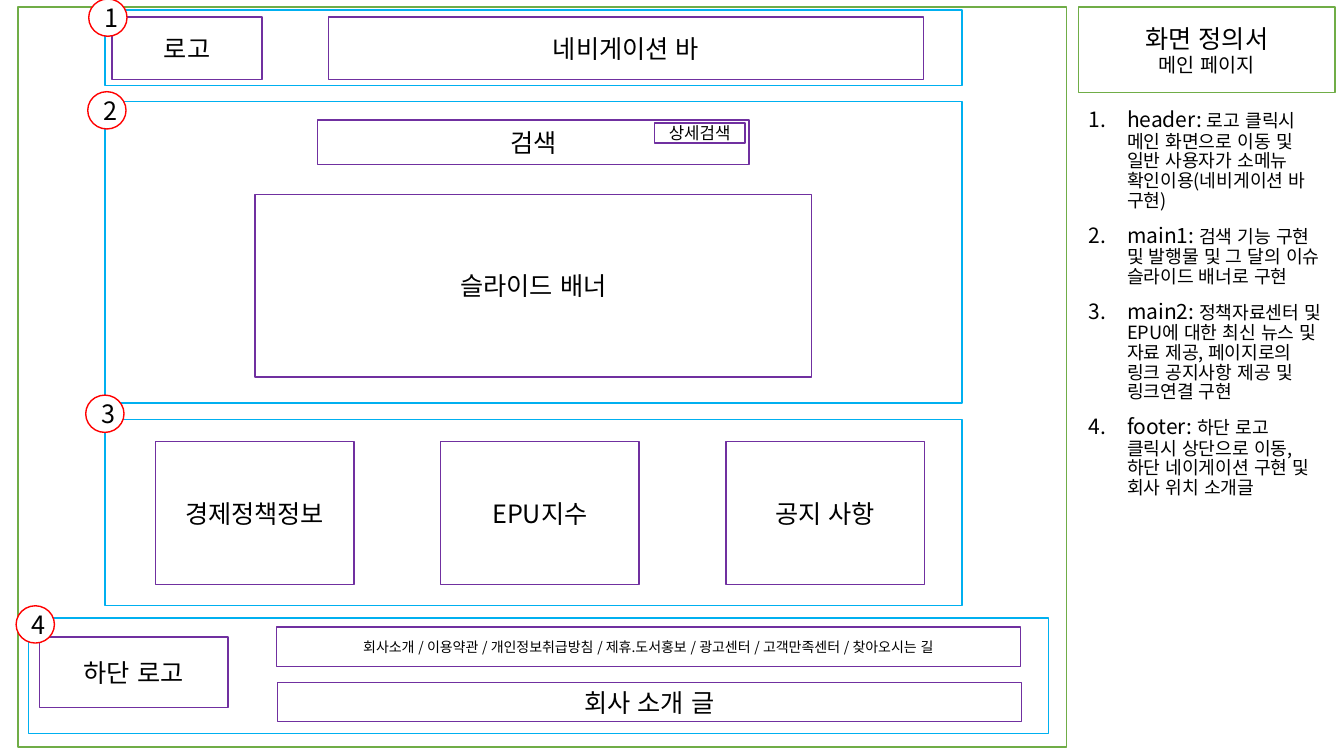
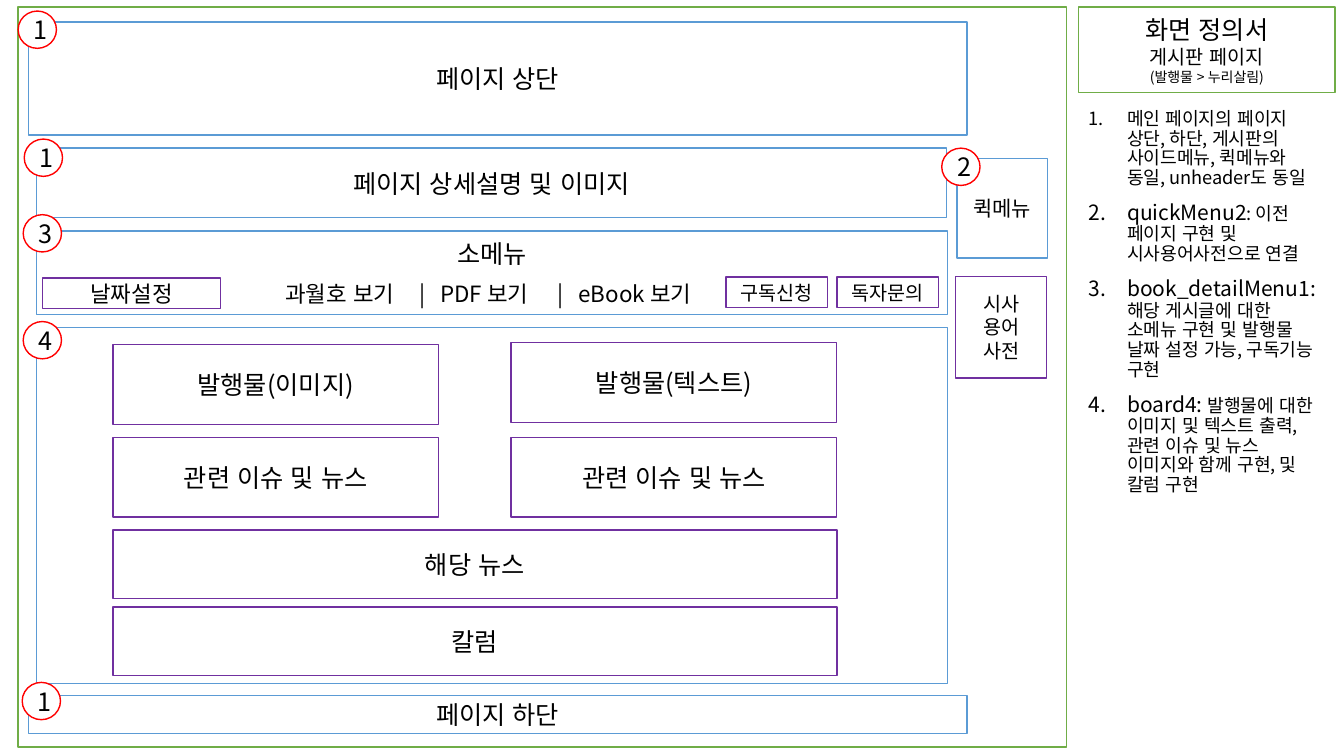
from lxml.etree import SubElement
from pptx import Presentation
from pptx.dml.color import RGBColor
from pptx.enum.lang import MSO_LANGUAGE_ID
from pptx.enum.shapes import MSO_SHAPE
from pptx.enum.text import MSO_ANCHOR, PP_ALIGN
from pptx.oxml.ns import qn
from pptx.util import Pt

PX = 9144
COLORS = {
    "paper": "FFFFFF",
    "ink": "000000",
    "frame": "70AD47",
    "header": "00B0F0",
    "board": "5B9BD5",
    "box": "7030A0",
    "badge": "FF0000",
}
FONT = {
    "name": "Noto Sans CJK KR",
    "language_id": MSO_LANGUAGE_ID.KOREAN,
}
CENTERED = {"alignment": PP_ALIGN.CENTER}
NOTE = {"line_spacing": 0.9, "space_before": Pt(10)}


def rgb(key):
    return RGBColor.from_string(COLORS[key])


def apply(target, values):
    for name, value in values.items():
        setattr(target, name, value)


class Wireframe:
    def __init__(self):
        self.prs = Presentation()
        self.prs.slide_width = 1333 * PX
        self.prs.slide_height = 750 * PX
        self.s = None

    def page(self, titles, notes):
        self.s = self.prs.slides.add_slide(self.prs.slide_layouts[6])
        self.box(18, 7, 1040, 734, color="frame")
        title = self.box(1070, 7, 254, 85, color="frame")
        for i, (text, size) in enumerate(titles):
            self.run(self.paragraph(title.text_frame, i, CENTERED), text, size)
        self.notes(1070, 104, 252, 623, notes)

    def run(self, p, text, size):
        r = p.add_run()
        r.text = text
        apply(r.font, {**FONT, "size": Pt(size)})
        r.font.color.rgb = rgb("ink")
        SubElement(r.font._element, qn("a:ea"), typeface=FONT["name"])

    def paragraph(self, tf, index, values):
        p = tf.add_paragraph() if index else tf.paragraphs[0]
        apply(p, values)
        return p

    def box(self, x, y, w, h, text="", size=18, color="box", kind=MSO_SHAPE.RECTANGLE):
        sp = self.s.shapes.add_shape(kind, x * PX, y * PX, w * PX, h * PX)
        sp.shadow.inherit = False
        sp.fill.solid()
        sp.fill.fore_color.rgb = rgb("paper")
        sp.line.color.rgb = rgb(color)
        sp.line.width = Pt(1)
        tf = sp.text_frame
        apply(tf, {"word_wrap": True, "vertical_anchor": MSO_ANCHOR.MIDDLE})
        if text:
            self.run(self.paragraph(tf, 0, CENTERED), text, size)
        return sp

    def badge(self, x, y, number):
        self.box(x, y, 38, 37, str(number), color="badge",
                 kind=MSO_SHAPE.FLOWCHART_CONNECTOR)

    def tabbed(self, sp, text, size, gap, stops):
        values = {"alignment": PP_ALIGN.LEFT, "space_before": Pt(gap)}
        p = self.paragraph(sp.text_frame, 1, values)
        tabs = SubElement(p._p.get_or_add_pPr(), qn("a:tabLst"))
        for stop in stops:
            SubElement(tabs, qn("a:tab"), pos=str(stop * PX), algn="l")
        self.run(p, text, size)

    def notes(self, x, y, w, h, items):
        tf = self.s.shapes.add_textbox(x * PX, y * PX, w * PX, h * PX).text_frame
        tf.word_wrap = True
        for i, (term, detail) in enumerate(items):
            p = self.paragraph(tf, i, NOTE)
            pPr = p._p.get_or_add_pPr()
            pPr.set("marL", str(38 * PX))
            pPr.set("indent", str(-38 * PX))
            SubElement(pPr, qn("a:buFont"), typeface="+mj-lt")
            SubElement(pPr, qn("a:buAutoNum"), type="arabicPeriod")
            if term:
                self.run(p, term, 15)
            self.run(p, detail, 13)


def main_page(wf):
    wf.page(
        [("화면 정의서", 18), ("메인 페이지", 14)],
        [
            ("header: ", "로고 클릭시 메인 화면으로 이동 및 일반 사용자가 소메뉴 확인이용(네비게이션 바 구현)"),
            ("main1: ", "검색 기능 구현 및 발행물 및 그 달의 이슈 슬라이드 배너로 구현"),
            ("main2: ", "정책자료센터 및 EPU에 대한 최신 뉴스 및 자료 제공, 페이지로의 링크 공지사항 제공 및 링크연결 구현"),
            ("footer: ", "하단 로고 클릭시 상단으로 이동, 하단 네이게이션 구현 및 회사 위치 소개글"),
        ],
    )
    for y, h in ((10, 75), (101, 299), (416, 185)):
        wf.box(104, y, 850, h, color="header")
    wf.box(28, 613, 1012, 115, color="header")

    wf.box(111, 17, 149, 62, "로고")
    wf.box(326, 17, 590, 62, "네비게이션 바")
    wf.box(315, 119, 428, 44, "검색")
    wf.box(649, 122, 90, 20, "상세검색", 12)
    wf.box(253, 193, 552, 181, "슬라이드 배너")
    for i, text in enumerate(("경제정책정보", "EPU지수", "공지 사항")):
        wf.box(154 + 283 * i, 438, 197, 142, text)
    wf.box(39, 632, 187, 70, "하단 로고")
    links = ("회사소개", "이용약관", "개인정보취급방침", "제휴.도서홍보",
             "광고센터", "고객만족센터", "찾아오시는 길")
    wf.box(274, 622, 738, 39, " / ".join(links), 10)
    wf.box(275, 677, 738, 39, "회사 소개 글")

    for number, (x, y) in enumerate(((88, -1), (87, 91), (85, 392), (16, 601)), 1):
        wf.badge(x, y, number)


def board_page(wf):
    wf.page(
        [("화면 정의서", 18), ("게시판 페이지", 14), ("(발행물 > 누리살림)", 10)],
        [
            ("", "메인 페이지의 페이지 상단, 하단, 게시판의 사이드메뉴, 퀵메뉴와 동일, unheader도 동일"),
            ("quickMenu2", ": 이전 페이지 구현 및 시사용어사전으로 연결"),
            ("book_detailMenu1: ", "해당 게시글에 대한 소메뉴 구현 및 발행물 날짜 설정 가능, 구독기능 구현"),
            ("board4: ", "발행물에 대한 이미지 및 텍스트 출력, 관련 이슈 및 뉴스 이미지와 함께 구현, 및 칼럼 구현"),
        ],
    )
    wf.box(28, 22, 931, 112, "페이지 상단", color="board")
    wf.box(36, 147, 903, 69, "페이지 상세설명 및 이미지", color="board")
    menu = wf.box(36, 229, 904, 83, "소메뉴", color="board")
    wf.tabbed(menu, "\t과월호 보기\t|\tPDF 보기\t|\teBook 보기", 16, 8,
              (237, 370, 391, 507, 528))
    wf.box(36, 325, 904, 353, color="board")
    wf.box(28, 690, 931, 38, "페이지 하단", color="board")
    wf.box(949, 157, 90, 99, "퀵메뉴", 15, "board")
    wf.box(948, 274, 90, 101, "시사 용어 사전", 14)

    wf.box(42, 276, 177, 30, "날짜설정", 16)
    for i, text in enumerate(("구독신청", "독자문의")):
        wf.box(720 + 110 * i, 275, 101, 30, text, 14)
    for i, (kind, top) in enumerate((("이미지", 342), ("텍스트", 340))):
        x = 112 + 395 * i
        wf.box(x, top, 323, 79, f"발행물({kind})")
        wf.box(x, 434, 323, 79, "관련 이슈 및 뉴스")
    for i, text in enumerate(("해당 뉴스", "칼럼")):
        wf.box(112, 526 + 76 * i, 718, 68, text)

    for x, y, number in ((18, 11, 1), (24, 138, 1), (934, 147, 2),
                         (23, 213, 3), (23, 319, 4), (22, 677, 1)):
        wf.badge(x, y, number)


def main():
    wf = Wireframe()
    main_page(wf)
    board_page(wf)
    wf.prs.save("out.pptx")


if __name__ == "__main__":
    main()
